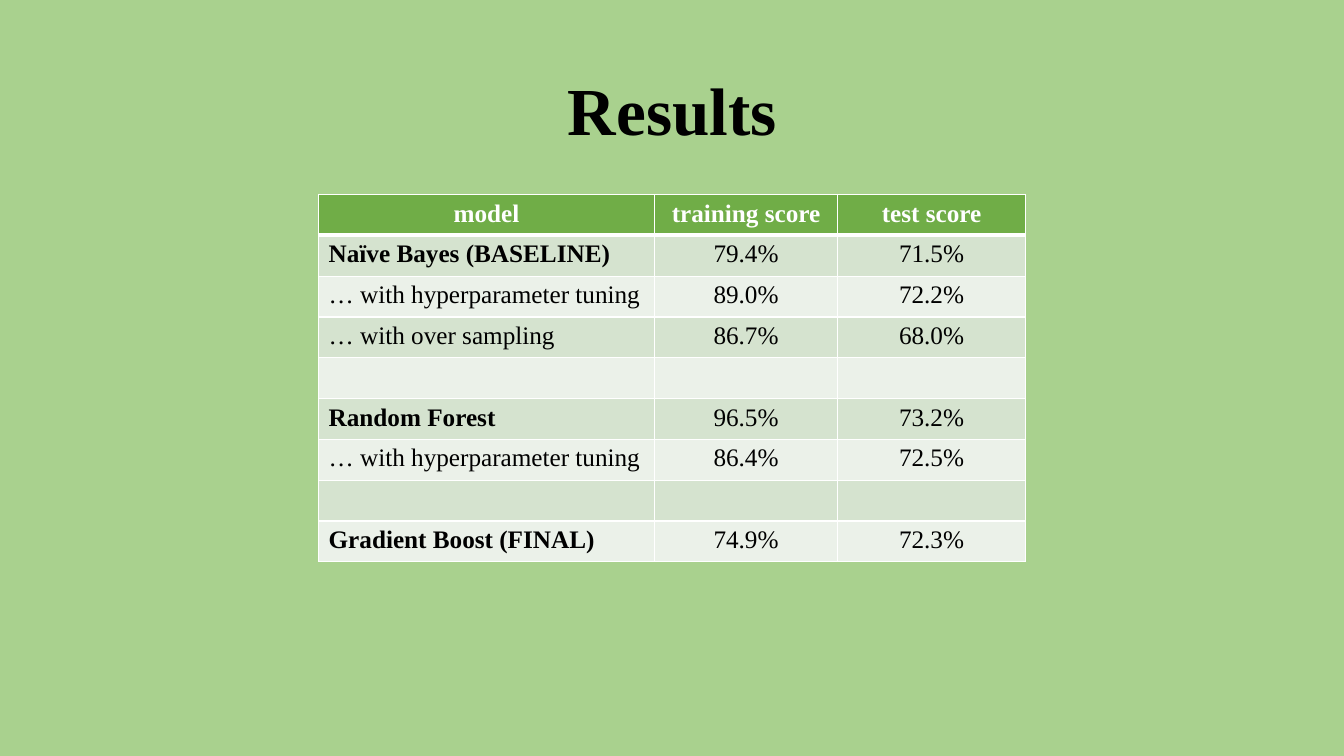
from dataclasses import dataclass

from lxml.etree import SubElement
from pptx import Presentation
from pptx.dml.color import RGBColor
from pptx.enum.text import MSO_ANCHOR as Anchor, PP_ALIGN as Align
from pptx.oxml.ns import qn
from pptx.util import Inches, Pt

HEADER_FILL = "70AD47"
BAND_FILLS = ("D5E3CF", "EBF1E9")
WHITE, BLACK = "FFFFFF", "000000"
COLUMN_WIDTHS = (3.33, 1.82, 1.86)
ROW_HEIGHT = 0.405


@dataclass
class ScoreRow:
    model: str = ""
    training: str = ""
    test: str = ""
    bold: bool = False


HEADER = ScoreRow("model", "training score", "test score", True)
SCORES = [
    ScoreRow("Naïve Bayes (BASELINE)", "79.4%", "71.5%", True),
    ScoreRow("… with hyperparameter tuning", "89.0%", "72.2%"),
    ScoreRow("… with over sampling", "86.7%", "68.0%"),
    ScoreRow(),
    ScoreRow("Random Forest", "96.5%", "73.2%", True),
    ScoreRow("… with hyperparameter tuning", "86.4%", "72.5%"),
    ScoreRow(),
    ScoreRow("Gradient Boost (FINAL)", "74.9%", "72.3%", True),
]


def set_color(target, color: str) -> None:
    """Give a fill a solid colour, or a font its colour."""
    if hasattr(target, "solid"):
        target.solid()
        target.fore_color.rgb = RGBColor.from_string(color)
    else:
        target.color.rgb = RGBColor.from_string(color)


def write_text(frame, text: str, size: int, color: str, bold: bool, align: Align) -> None:
    para = frame.paragraphs[0]
    para.alignment = align
    if not text:
        para.font.size = Pt(size)
        return
    span = para.add_run()
    span.text = text
    for name, value in {"name": "Times New Roman", "size": Pt(size), "bold": bold}.items():
        setattr(span.font, name, value)
    set_color(span.font, color)


def set_borders(cell, top: float, bottom: float) -> None:
    """Draw white cell edges; top and bottom widths are in points."""
    properties = cell._tc.get_or_add_tcPr()
    for side, width in {"lnL": 1, "lnR": 1, "lnT": top, "lnB": bottom}.items():
        line = SubElement(properties, qn(f"a:{side}"), w=str(Pt(width)))
        SubElement(SubElement(line, qn("a:solidFill")), qn("a:srgbClr"), val=WHITE)


def add_score_table(page) -> None:
    rows = [HEADER, *SCORES]
    frame = page.shapes.add_table(
        len(rows), len(COLUMN_WIDTHS), Inches(3.16), Inches(1.93),
        Inches(sum(COLUMN_WIDTHS)), Inches(ROW_HEIGHT * len(rows)))
    table = frame.table
    for column, width in zip(table.columns, COLUMN_WIDTHS):
        column.width = Inches(width)
    for index, row in enumerate(rows):
        table.rows[index].height = Inches(ROW_HEIGHT)
        is_header = index == 0
        fill = HEADER_FILL if is_header else BAND_FILLS[(index - 1) % 2]
        for position, text in enumerate((row.model, row.training, row.test)):
            cell = table.cell(index, position)
            is_name = position == 0
            set_borders(cell, top=3 if index == 1 else 1, bottom=3 if is_header else 1)
            set_color(cell.fill, fill)
            write_text(cell.text_frame, text, 18, WHITE if is_header else BLACK,
                       is_header or (is_name and row.bold),
                       Align.LEFT if is_name and not is_header else Align.CENTER)


def add_title(page) -> None:
    title = page.shapes.title
    place = {"left": 0.92, "top": 0.4, "width": 11.5, "height": 1.45}
    for name, value in place.items():
        setattr(title, name, Inches(value))
    title.text_frame.vertical_anchor = Anchor.MIDDLE
    write_text(title.text_frame, "Results", 48, BLACK, True, Align.CENTER)
    title.text_frame.paragraphs[0].line_spacing = 0.9


def main() -> None:
    deck = Presentation()
    deck.slide_width, deck.slide_height = Inches(13.33), Inches(7.5)
    page = deck.slides.add_slide(deck.slide_layouts[5])
    set_color(page.background.fill, "A9D18E")
    add_title(page)
    add_score_table(page)
    deck.save("out.pptx")


if __name__ == "__main__":
    main()
